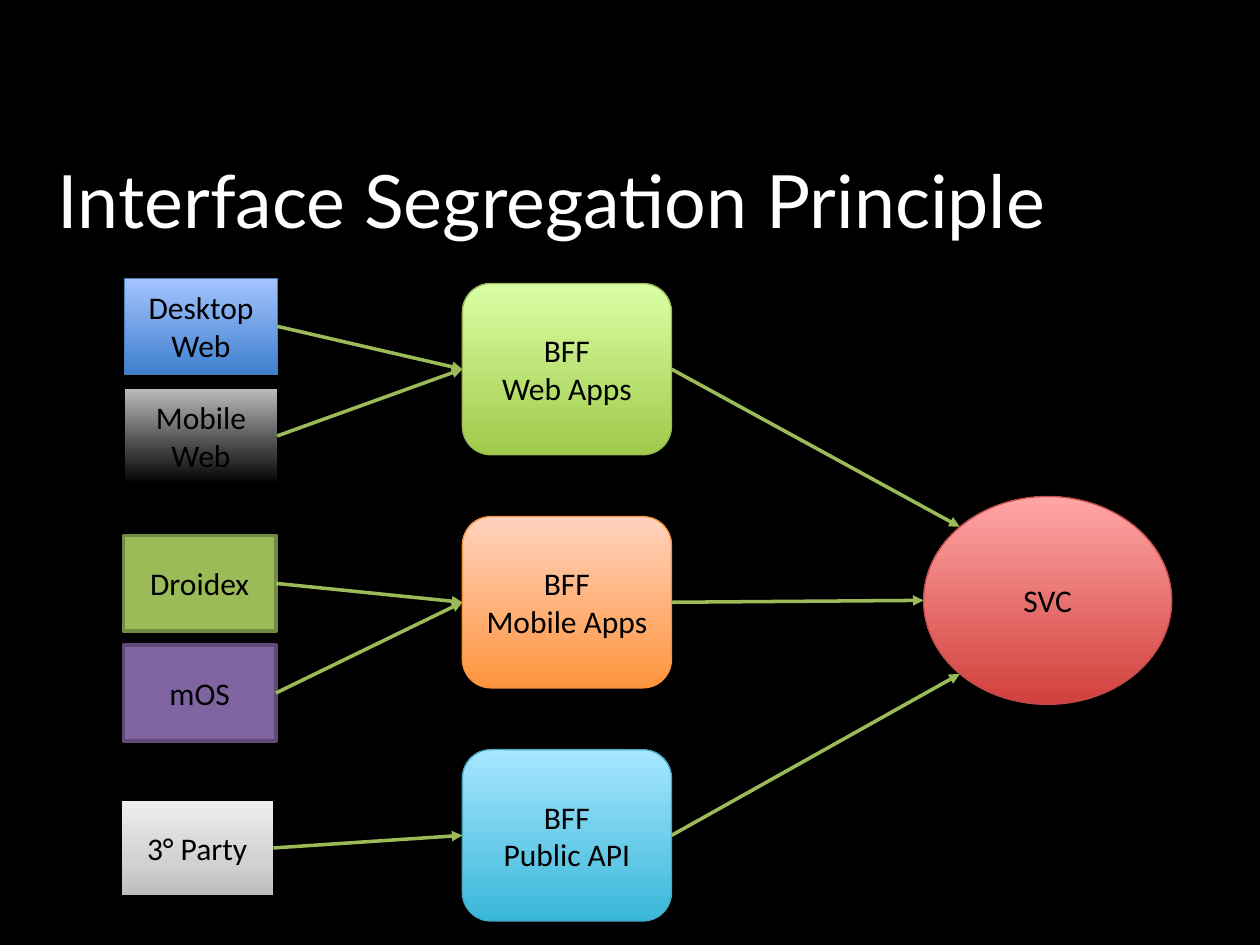
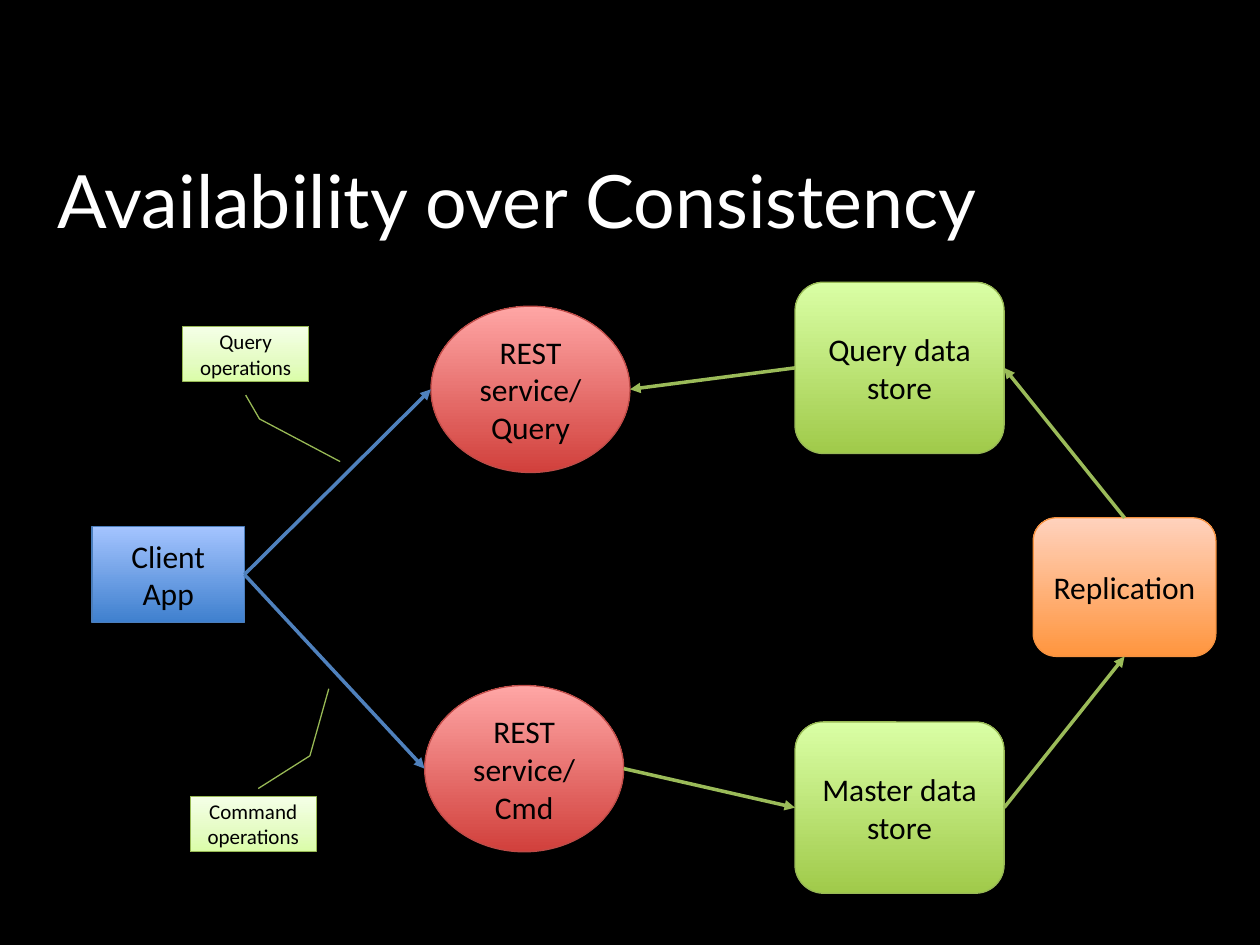
from copy import deepcopy
from dataclasses import dataclass
from enum import Enum

from lxml import etree
from pptx import Presentation
from pptx.dml.color import RGBColor
from pptx.enum import shapes, text
from pptx.oxml import ns
from pptx.util import Inches, Pt

KIND = shapes.MSO_SHAPE


@dataclass(frozen=True)
class Paint:
    line: str
    stops: tuple[tuple[float, str], ...]
    weight: float = 0.75


def blend(line: str, bottom: str, top: str) -> Paint:
    return Paint(line, ((0, bottom), (1, top)))


@dataclass(frozen=True)
class Theme:
    background: str = "000000"
    title: str = "FFFFFF"
    label: str = "000000"
    title_font: str = "Lato"
    label_font: str = "Calibri"
    title_size: int = 42
    label_size: int = 18
    callout_size: int = 12
    arrow_width: float = 2
    green_arrow: str = "9BBB59"
    blue_arrow: str = "4F81BD"
    blue: Paint = blend("4B7EBC", "3F80CE", "A4C4FF")
    black: Paint = blend("000000", "000000", "BDBDBD")
    green: Paint = blend("98B955", "A0CA4A", "DAFFA5")
    orange: Paint = blend("F69240", "FF953E", "FFD2BD")
    aqua: Paint = blend("46AAC5", "39B7D8", "A7E6FF")
    red: Paint = blend("BF4C48", "D1403C", "FFA6A5")
    flat_green: Paint = Paint("738A42", ((0, "9BBB59"),), 2)
    flat_purple: Paint = Paint("5F4A78", ((0, "8064A2"),), 2)
    gray: Paint = Paint("000000", ((0, "BDBDBD"), (0.35, "D1D1D1"), (1, "EEEEEE")))
    pale_green: Paint = Paint("98B955", ((0, "DAFDA7"), (0.35, "E4FCC2"), (1, "F5FFE7")))


THEME = Theme()


@dataclass(frozen=True)
class Node:
    label: str
    left: float
    top: float
    size: tuple[float, float]
    paint: Paint
    kind: KIND = KIND.RECTANGLE
    font_size: int = THEME.label_size
    adjustments: tuple[float, ...] = ()


@dataclass(frozen=True)
class Site:
    x: float
    y: float
    box_index: int
    oval_index: int


class Port(Enum):
    TOP = Site(0.5, 0, 0, 0)
    LEFT = Site(0, 0.5, 1, 2)
    BOTTOM = Site(0.5, 1, 2, 4)
    RIGHT = Site(1, 0.5, 3, 6)
    UPPER_LEFT = Site(0.146, 0.146, 0, 1)
    LOWER_LEFT = Site(0.146, 0.854, 0, 3)


CLIENT_SIZE = (1.21, 0.76)
HUB_SIZE = (1.66, 1.36)
REST_SIZE = (1.58, 1.32)
CALLOUT_SIZE = (1, 0.44)


def color(code: str) -> RGBColor:
    return RGBColor.from_string(code)


def format_text(frame, font: str, size: int, code: str, align) -> None:
    for para in frame.paragraphs:
        para.alignment = align
        for span in para.runs:
            span.font.name = font
            span.font.size = Pt(size)
            span.font.color.rgb = color(code)


def apply_paint(box, paint: Paint) -> None:
    box.line.color.rgb = color(paint.line)
    box.line.width = Pt(paint.weight)
    if len(paint.stops) == 1:
        box.fill.solid()
        box.fill.fore_color.rgb = color(paint.stops[0][1])
        return
    box.fill.gradient()
    box.fill.gradient_angle = 90
    stop_list = box._element.find(".//" + ns.qn("a:gsLst"))
    for _ in paint.stops[2:]:
        stop_list.append(deepcopy(stop_list[-1]))
    for stop, (position, code) in zip(box.fill.gradient_stops, paint.stops):
        stop.position = position
        stop.color.rgb = color(code)


def add_node(page, node: Node):
    width, height = node.size
    box = page.shapes.add_shape(
        node.kind, Inches(node.left), Inches(node.top), Inches(width), Inches(height))
    box.shadow.inherit = False
    for index, value in enumerate(node.adjustments):
        box.adjustments[index] = value
    apply_paint(box, node.paint)
    frame = box.text_frame
    frame.text = node.label
    frame.word_wrap = True
    frame.vertical_anchor = text.MSO_ANCHOR.MIDDLE
    format_text(frame, THEME.label_font, node.font_size, THEME.label, text.PP_ALIGN.CENTER)
    return box


def port_point(box, port: Port) -> tuple[int, int]:
    site = port.value
    return round(box.left + box.width * site.x), round(box.top + box.height * site.y)


def add_arrow(page, source, start: Port, target, end: Port,
              code: str = THEME.green_arrow) -> None:
    arrow = page.shapes.add_connector(
        shapes.MSO_CONNECTOR.STRAIGHT, *port_point(source, start), *port_point(target, end))
    arrow.line.color.rgb = color(code)
    arrow.line.width = Pt(THEME.arrow_width)
    etree.SubElement(arrow.line._get_or_add_ln(), ns.qn("a:tailEnd"), type="triangle")
    etree.SubElement(arrow._element.spPr, ns.qn("a:effectLst"))
    links = arrow._element.find(".//" + ns.qn("p:cNvCxnSpPr"))
    for tag, box, port in (("a:stCxn", source, start), ("a:endCxn", target, end)):
        site = port.value
        oval = box.auto_shape_type == KIND.OVAL
        index = site.oval_index if oval else site.box_index
        etree.SubElement(links, ns.qn(tag), id=str(box.shape_id), idx=str(index))


def add_page(deck, heading: str):
    page = deck.slides.add_slide(deck.slide_layouts.get_by_name("Title Only"))
    title = page.shapes.title
    title.left, title.top = Inches(0.36), Inches(1.18)
    title.width, title.height = Inches(9.19), Inches(0.95)
    frame = title.text_frame
    frame.text = heading
    frame.word_wrap = True
    frame.auto_size = text.MSO_AUTO_SIZE.NONE
    frame.vertical_anchor = text.MSO_ANCHOR.TOP
    format_text(frame, THEME.title_font, THEME.title_size, THEME.title, text.PP_ALIGN.LEFT)
    return page


def build_segregation(deck) -> None:
    page = add_page(deck, "Interface Segregation Principle")
    service = add_node(page, Node("SVC", 7.33, 3.94, (1.97, 1.65), THEME.red, KIND.OVAL))
    lanes = (
        ("BFF\nWeb Apps", THEME.green, Port.UPPER_LEFT, 0.99, 2.21,
         (("Desktop Web", THEME.blue), ("Mobile Web", THEME.black))),
        ("BFF\nMobile Apps", THEME.orange, Port.LEFT, 0.98, 4.25,
         (("Droidex", THEME.flat_green), ("mOS", THEME.flat_purple))),
        ("BFF\nPublic API", THEME.aqua, Port.LOWER_LEFT, 0.96, 6.35,
         (("3° Party", THEME.gray),)),
    )
    for lane, (label, paint, entry, left, top, clients) in enumerate(lanes):
        hub = add_node(page, Node(
            label, 3.67, 2.25 + 1.85 * lane, HUB_SIZE, paint, KIND.ROUNDED_RECTANGLE))
        for row, (name, client_paint) in enumerate(clients):
            client = add_node(page, Node(
                name, left, top + 0.87 * row, CLIENT_SIZE, client_paint))
            add_arrow(page, client, Port.RIGHT, hub, Port.LEFT)
        add_arrow(page, hub, Port.RIGHT, service, entry)


def build_availability(deck) -> None:
    page = add_page(deck, "Availability over Consistency")
    rounded = KIND.ROUNDED_RECTANGLE
    nodes = (
        Node("Client App", 0.73, 4.18, CLIENT_SIZE, THEME.blue),
        Node("REST service/ Query", 3.42, 2.43, REST_SIZE, THEME.red, KIND.OVAL),
        Node("REST service/ Cmd", 3.37, 5.44, REST_SIZE, THEME.red, KIND.OVAL),
        Node("Master data store", 6.31, 5.73, HUB_SIZE, THEME.green, rounded),
        Node("Query data store", 6.31, 2.24, HUB_SIZE, THEME.green, rounded),
        Node("Replication", 8.2, 4.11, (1.45, 1.1), THEME.orange, rounded),
    )
    client, query, command, master, store, replication = (
        add_node(page, node) for node in nodes)
    for service in (command, query):
        add_arrow(page, client, Port.RIGHT, service, Port.LEFT, THEME.blue_arrow)
    add_arrow(page, command, Port.RIGHT, master, Port.LEFT)
    add_arrow(page, master, Port.RIGHT, replication, Port.BOTTOM)
    add_arrow(page, replication, Port.TOP, store, Port.RIGHT)
    add_arrow(page, store, Port.LEFT, query, Port.RIGHT)
    callouts = (
        ("Command operations", 1.51, 6.32, (-0.14, 0.54, -0.73, 0.95, -1.94, 1.1)),
        ("Query operations", 1.45, 2.59, (1.24, 0.5, 1.67, 0.61, 2.44, 1.25)),
    )
    for label, left, top, leader in callouts:
        add_node(page, Node(label, left, top, CALLOUT_SIZE, THEME.pale_green,
                            KIND.LINE_CALLOUT_2, THEME.callout_size, leader))


def main() -> None:
    deck = Presentation()
    deck.slide_width, deck.slide_height = Inches(10), Inches(7.5)
    background = deck.slide_master.background.fill
    background.solid()
    background.fore_color.rgb = color(THEME.background)
    build_segregation(deck)
    build_availability(deck)
    deck.save("out.pptx")


if __name__ == "__main__":
    main()
